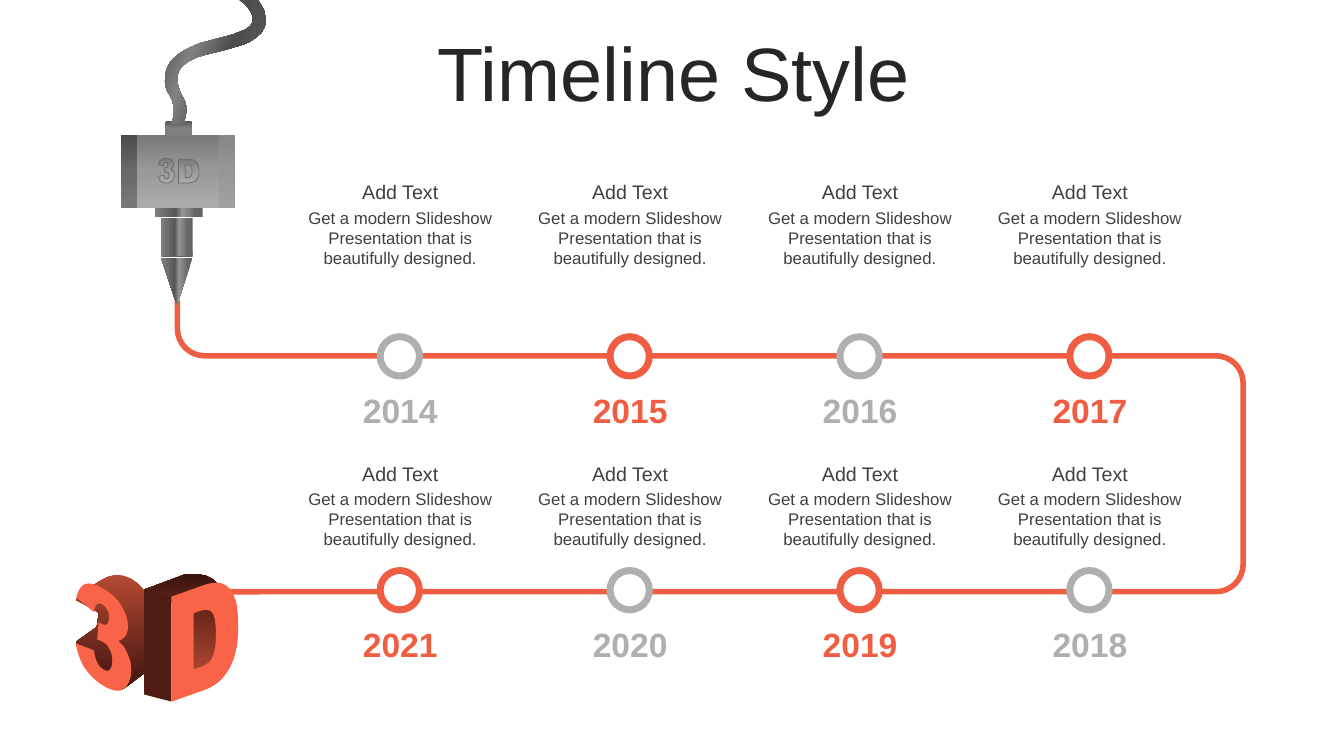
import math
from dataclasses import dataclass

from lxml import etree
from pptx import Presentation
from pptx import util as u
from pptx.dml.color import RGBColor
from pptx.enum import shapes, text
from pptx.oxml.ns import qn


@dataclass(frozen=True)
class Theme:
    font: str = "Arial"
    title: str = "262626"
    body: str = "404040"
    accent: str = "EF5E42"
    face: str = "F96448"
    muted: str = "AFAFAF"
    white: str = "FFFFFF"
    engraving: str = "6A6A6A"
    joint: str = "646464"
    letter_edge: str = "4F1C14"
    letter_depth: tuple = ((0, "B54A33"), (50, "7A2E20"), (100, "3A140E"))
    steel: tuple = ((0, "787878"), (48, "999999"), (100, "ABABAB"))
    dark_steel: tuple = ((0, "4B4B4B"), (48, "696969"), (100, "787878"))
    light_steel: tuple = ((0, "878787"), (48, "969696"), (100, "A0A0A0"))
    collar: tuple = ((0, "545454"), (48, "818181"), (100, "7D7D7D"))
    rod: tuple = ((0, "646464"), (16, "676767"), (31, "828282"), (43, "969696"),
                  (57, "565656"), (83, "707070"), (97, "7D7D7D"))
    cable: tuple = ((0, "575757"), (16, "676767"), (31, "828282"),
                    (57, "4D4D4D"), (83, "575757"), (97, "4B4B4B"))
    title_size: int = 54
    year_size: int = 24
    heading_size: int = 14
    body_size: int = 12


theme = Theme()
presentation = Presentation()
presentation.slide_width = u.Inches(13.33)
presentation.slide_height = u.Inches(7.5)
slide = presentation.slides.add_slide(presentation.slide_layouts[5])


def write_text(words, left, top, width, height, size, color, bold=False,
               anchor=text.MSO_ANCHOR.TOP, spacing=None, shape=None):
    box = [u.Inches(value) for value in (left, top, width, height)]
    if shape is None:
        shape = slide.shapes.add_textbox(*box)
    shape.left, shape.top, shape.width, shape.height = box
    frame = shape.text_frame
    frame.text = words
    frame.word_wrap = True
    frame.auto_size = text.MSO_AUTO_SIZE.NONE
    frame.vertical_anchor = anchor
    paragraph = frame.paragraphs[0]
    paragraph.alignment = text.PP_ALIGN.CENTER
    paragraph.line_spacing = spacing
    font = paragraph.runs[0].font
    font.name, font.size, font.bold = theme.font, u.Pt(size), bold
    font.color.rgb = RGBColor.from_string(color)


def paint(shape, fill, angle=90, line=None, line_width=0.5):
    shape.shadow.inherit = False
    if fill is None:
        shape.fill.background()
    elif isinstance(fill, str):
        shape.fill.solid()
        shape.fill.fore_color.rgb = RGBColor.from_string(fill)
    else:
        shape.fill.gradient()
        gradient = shape.fill._xPr.find(qn("a:gradFill"))
        stops = gradient.find(qn("a:gsLst"))
        for stop in list(stops):
            stops.remove(stop)
        for position, color in fill:
            stop = etree.SubElement(stops, qn("a:gs"), pos=str(position * 1000))
            etree.SubElement(stop, qn("a:srgbClr"), val=color)
        gradient.find(qn("a:lin")).set("ang", str(angle * 60000))
    if line:
        shape.line.color.rgb = RGBColor.from_string(line)
        shape.line.width = u.Pt(line_width)
    else:
        shape.line.fill.background()


track = [(1.76, 2.98)]
radius = 0.27
for center_x, center_y, start, sweep in [
    (1.76 + radius, 3.53 - radius, 180, -90),
    (12.33 - radius, 3.53 + radius, -90, 90),
    (12.33 - radius, 5.87 - radius, 0, 90),
]:
    for step in range(9):
        turn = math.radians(start + sweep * step / 8)
        track.append((center_x + radius * math.cos(turn), center_y + radius * math.sin(turn)))
track.append((2.04, 5.87))
track = [(u.Inches(x), u.Inches(y)) for x, y in track]
builder = slide.shapes.build_freeform(*track[0])
builder.add_line_segments(track[1:], close=False)
paint(builder.convert_to_shape(), None, line=theme.accent, line_width=4)

preset = shapes.MSO_SHAPE
for kind, left, top, width, height, fill, angle in [
    (preset.RECTANGLE, 1.36, 1.34, 0.82, 0.72, theme.steel, 90),
    (preset.RECTANGLE, 1.2, 1.34, 0.16, 0.72, theme.dark_steel, 90),
    (preset.RECTANGLE, 2.17, 1.34, 0.16, 0.72, theme.light_steel, 90),
    (preset.ROUNDED_RECTANGLE, 1.64, 1.2, 0.27, 0.15, theme.collar, 90),
    (preset.RECTANGLE, 1.54, 2.06, 0.47, 0.09, theme.rod, 180),
    (preset.RECTANGLE, 1.6, 2.49, 0.31, 0.06, theme.joint, 0),
    (preset.RECTANGLE, 1.6, 2.16, 0.31, 0.38, theme.rod, 180),
    (preset.FLOWCHART_MERGE, 1.6, 2.56, 0.31, 0.47, theme.rod, 180),
]:
    box = [u.Inches(value) for value in (left, top, width, height)]
    paint(slide.shapes.add_shape(kind, *box), fill, angle)

cable = [[
    (1.64, 0.76), (1.64, 0.69, 1.67, 0.63, 1.72, 0.58), (1.79, 0.51, 1.88, 0.47, 1.98, 0.43),
    (2.09, 0.4, 2.21, 0.37, 2.32, 0.34), (2.36, 0.32, 2.4, 0.31, 2.44, 0.29),
    (2.51, 0.25, 2.53, 0.2, 2.49, 0.12), (2.46, 0.08, 2.44, 0.04, 2.4, 0.02), (2.38, 0),
    (2.56, 0), (2.57, 0.02), (2.59, 0.05, 2.61, 0.08, 2.62, 0.11),
    (2.66, 0.22, 2.63, 0.32, 2.53, 0.38), (2.47, 0.43, 2.39, 0.45, 2.32, 0.47),
    (2.2, 0.51, 2.07, 0.53, 1.95, 0.57), (1.91, 0.59, 1.86, 0.61, 1.83, 0.64),
    (1.77, 0.68, 1.75, 0.75, 1.76, 0.82), (1.77, 0.86, 1.78, 0.9, 1.8, 0.94),
    (1.85, 1.01, 1.86, 1.08, 1.84, 1.16), (1.82, 1.23), (1.7, 1.23), (1.71, 1.2),
    (1.74, 1.11, 1.73, 1.02, 1.68, 0.94), (1.64, 0.89, 1.63, 0.82, 1.64, 0.76),
]]
three = [[
    (0.41, 0), (0.55, 0, 0.65, 0.02, 0.71, 0.08), (0.77, 0.13, 0.8, 0.19, 0.8, 0.26),
    (0.8, 0.31, 0.78, 0.35, 0.76, 0.38), (0.73, 0.42, 0.7, 0.45, 0.65, 0.48),
    (0.69, 0.49, 0.72, 0.5, 0.74, 0.51), (0.77, 0.54, 0.8, 0.56, 0.82, 0.6),
    (0.84, 0.63, 0.85, 0.67, 0.85, 0.72), (0.85, 0.78, 0.83, 0.84, 0.8, 0.89),
    (0.77, 0.95, 0.72, 0.99, 0.67, 1.02), (0.61, 1.05, 0.53, 1.07, 0.43, 1.07),
    (0.34, 1.07, 0.27, 1.05, 0.21, 1.03), (0.16, 1.01, 0.11, 0.98, 0.08, 0.94),
    (0.04, 0.89, 0.02, 0.84, 0, 0.78), (0.28, 0.74), (0.29, 0.8, 0.31, 0.84, 0.34, 0.86),
    (0.36, 0.88, 0.39, 0.89, 0.43, 0.89), (0.46, 0.89, 0.5, 0.88, 0.52, 0.85),
    (0.55, 0.82, 0.56, 0.78, 0.56, 0.74), (0.56, 0.69, 0.55, 0.65, 0.52, 0.63),
    (0.5, 0.6, 0.47, 0.59, 0.42, 0.59), (0.4, 0.59, 0.37, 0.59, 0.33, 0.6), (0.35, 0.4),
    (0.38, 0.4), (0.42, 0.4, 0.45, 0.39, 0.48, 0.37),
    (0.5, 0.34, 0.51, 0.31, 0.51, 0.28), (0.51, 0.25, 0.5, 0.22, 0.49, 0.21),
    (0.47, 0.19, 0.44, 0.18, 0.41, 0.18), (0.37, 0.18, 0.35, 0.19, 0.33, 0.21),
    (0.31, 0.23, 0.29, 0.26, 0.28, 0.32), (0.01, 0.27),
    (0.04, 0.18, 0.08, 0.11, 0.14, 0.07), (0.21, 0.02, 0.3, 0, 0.41, 0),
]]
letter_d = [[
    (0.34, 0.26), (0.34, 0.86), (0.43, 0.86), (0.5, 0.86, 0.55, 0.85, 0.58, 0.84),
    (0.61, 0.82, 0.63, 0.8, 0.65, 0.76), (0.67, 0.72, 0.68, 0.65, 0.68, 0.56),
    (0.68, 0.44, 0.66, 0.36, 0.62, 0.32), (0.58, 0.28, 0.52, 0.26, 0.43, 0.26),
], [
    (0, 0), (0.51, 0), (0.61, 0, 0.69, 0.02, 0.75, 0.04), (0.82, 0.07, 0.87, 0.11, 0.91, 0.16),
    (0.95, 0.21, 0.98, 0.27, 1, 0.34), (1.01, 0.41, 1.02, 0.48, 1.02, 0.56),
    (1.02, 0.67, 1.01, 0.77, 0.98, 0.83), (0.96, 0.9, 0.92, 0.95, 0.87, 1),
    (0.82, 1.04, 0.77, 1.07, 0.72, 1.09), (0.64, 1.11, 0.57, 1.12, 0.51, 1.12), (0, 1.12),
]]
three_depth = [[
    (0.75, 5.95), (0.9, 5.82, 1.05, 5.7, 1.15, 5.7), (1.25, 5.7, 1.36, 5.76, 1.43, 5.86),
    (1.43, 6.68), (1.2, 6.85), (0.94, 6.7), (0.75, 6.37), (0.96, 6.22), (0.98, 6.08), (0.9, 6.03),
]]
d_depth = [[
    (1.43, 5.85), (1.86, 5.69), (2, 5.69, 2.12, 5.72, 2.16, 5.8), (2.2, 5.95),
    (2.2, 6.54), (1.88, 6.74), (1.7, 5.95),
]]
d_side = [[(1.43, 5.85), (1.7, 5.92), (1.7, 6.96), (1.43, 6.89)]]

for outline, left, top, stretch, height, slope, fill, angle, line in [
    (cable, 0, 0, 1, 1, 0, theme.cable, 20, None),
    (three, 1.57, 1.57, 0.19, 0.23, 0, theme.steel, 90, theme.engraving),
    (letter_d, 1.77, 1.58, 0.2, 0.21, 0, theme.steel, 90, theme.engraving),
    (three_depth, 0, 0, 1, 1, 0, theme.letter_depth, 90, None),
    (three, 0.75, 5.68, 0.65, 0.9, 0.38, theme.face, 0, None),
    (d_depth, 0, 0, 1, 1, 0, theme.letter_depth, 270, None),
    (d_side, 0, 0, 1, 1, 0, theme.letter_edge, 0, None),
    (letter_d, 1.7, 5.92, 0.65, 0.93, -0.23, theme.face, 0, None),
]:
    builder = None
    for contour in outline:
        points = [contour[0]]
        for segment in contour[1:]:
            if len(segment) == 2:
                points.append(segment)
                continue
            x0, y0 = points[-1]
            x1, y1, x2, y2, x3, y3 = segment
            for t in (0.25, 0.5, 0.75, 1):
                a, b, c, d = (1 - t) ** 3, 3 * t * (1 - t) ** 2, 3 * t * t * (1 - t), t ** 3
                points.append((a * x0 + b * x1 + c * x2 + d * x3,
                               a * y0 + b * y1 + c * y2 + d * y3))
        placed = [(u.Inches(left + stretch * x), u.Inches(top + height * y + slope * x))
                  for x, y in points]
        if builder is None:
            builder = slide.shapes.build_freeform(*placed[0])
        else:
            builder.move_to(*placed[0])
        builder.add_line_segments(placed[1:], close=True)
    paint(builder.convert_to_shape(), fill, angle, line)

write_text("Timeline Style", 0.35, 0.37, 12.66, 0.79, theme.title_size, theme.title,
           anchor=text.MSO_ANCHOR.MIDDLE, spacing=0.9, shape=slide.shapes.title)

description = "Get a modern PowerPoint Presentation that is beautifully designed."
description = description.replace("PowerPoint", "Slideshow")
for years, first_accent, circle_top, heading_top in [
    (["2014", "2015", "2016", "2017"], 1, 3.34, 1.74),
    (["2021", "2020", "2019", "2018"], 0, 5.66, 4.53),
]:
    for column, year in enumerate(years):
        center = 3.97 + 2.28 * column
        color = theme.accent if column % 2 == first_accent else theme.muted
        circle = slide.shapes.add_shape(preset.OVAL, u.Inches(center - 0.2),
                                        u.Inches(circle_top), u.Inches(0.39), u.Inches(0.39))
        paint(circle, theme.white, line=color, line_width=5)
        write_text(year, center - 0.59, circle_top + 0.48, 1.18, 0.5, theme.year_size, color,
                   bold=True, anchor=text.MSO_ANCHOR.MIDDLE)
        write_text("Add Text", center - 1.15, heading_top, 2.3, 0.34,
                   theme.heading_size, theme.body)
        write_text(description, center - 1.15, heading_top + 0.27, 2.3, 0.71,
                   theme.body_size, theme.body)

presentation.save("out.pptx")
